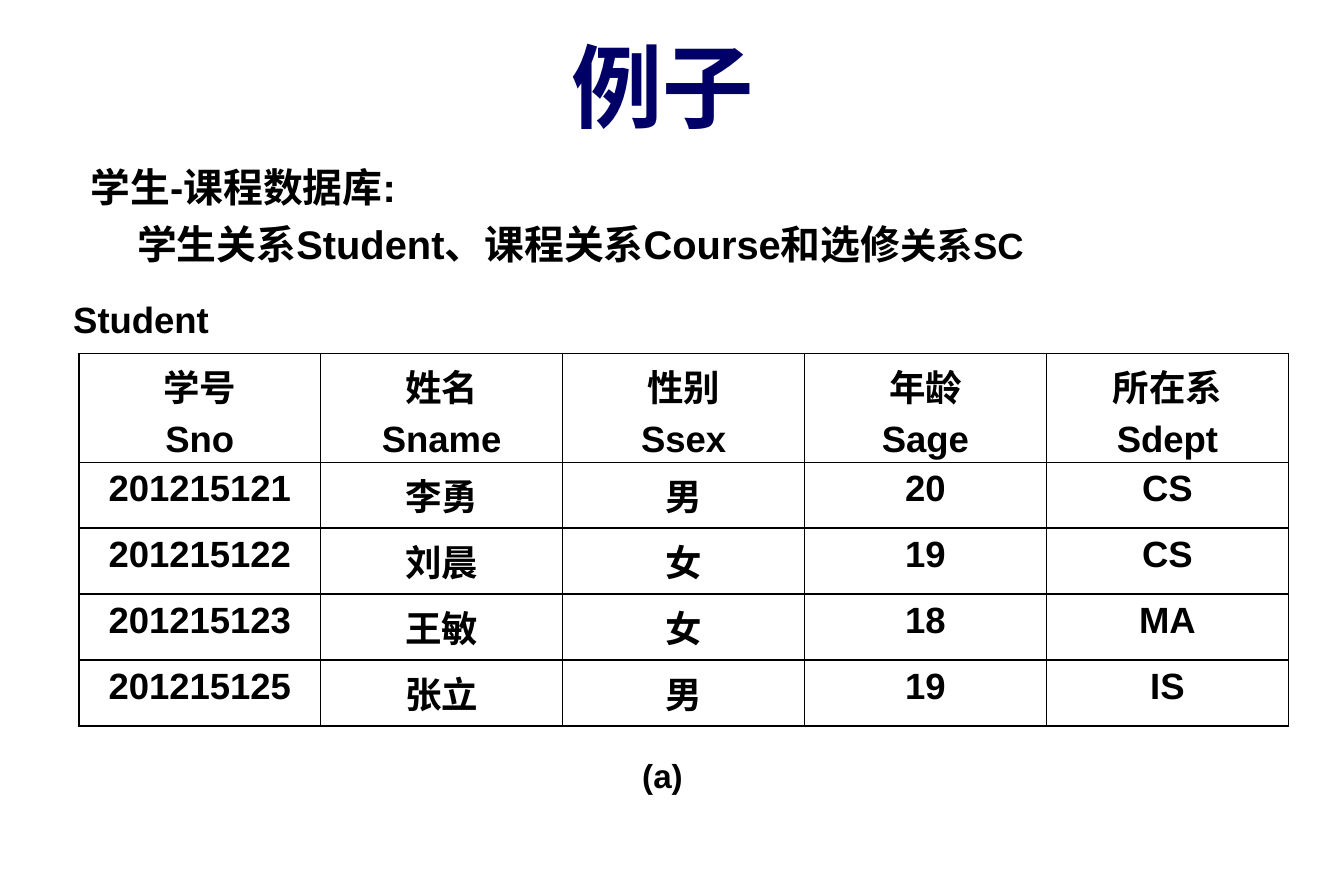
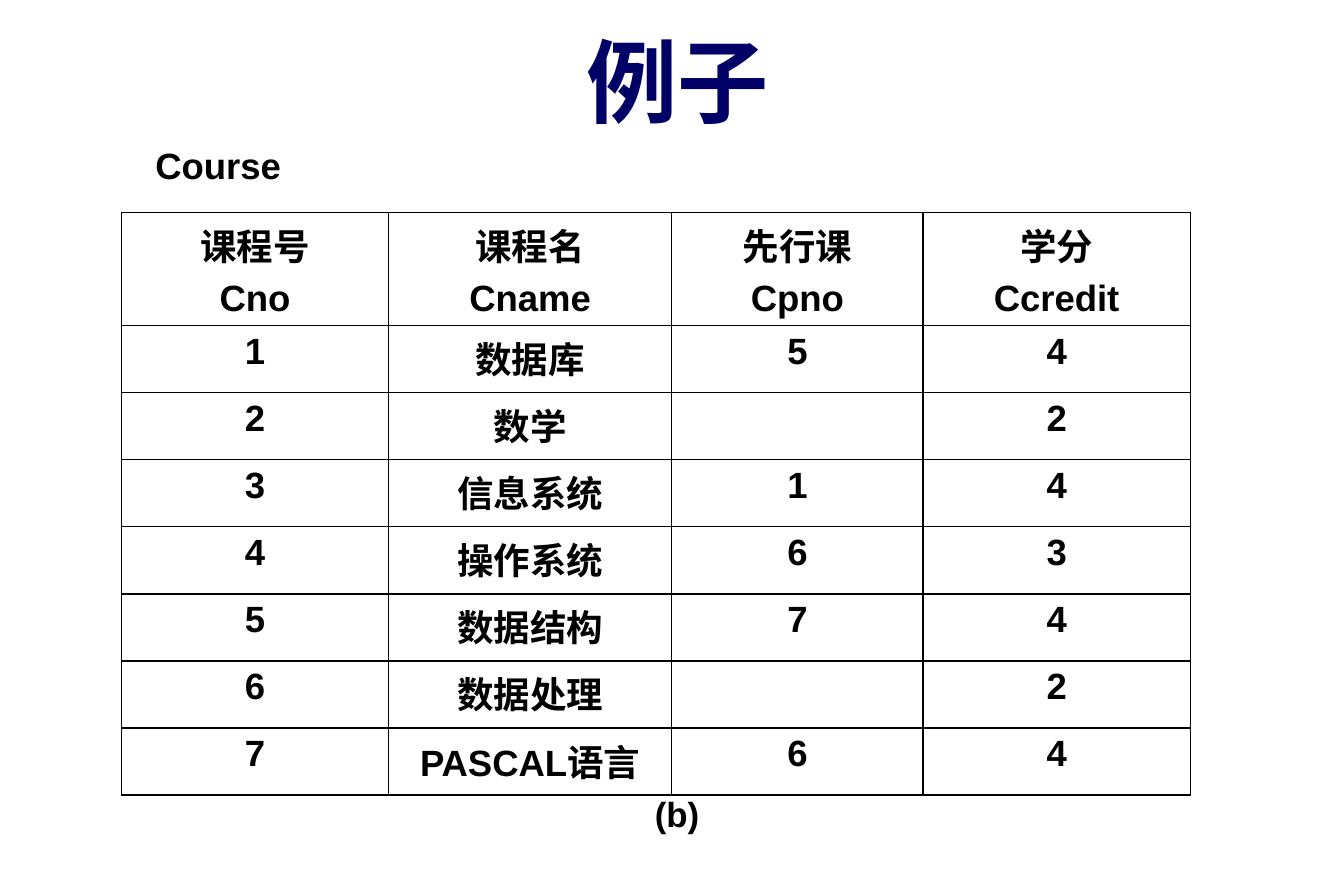
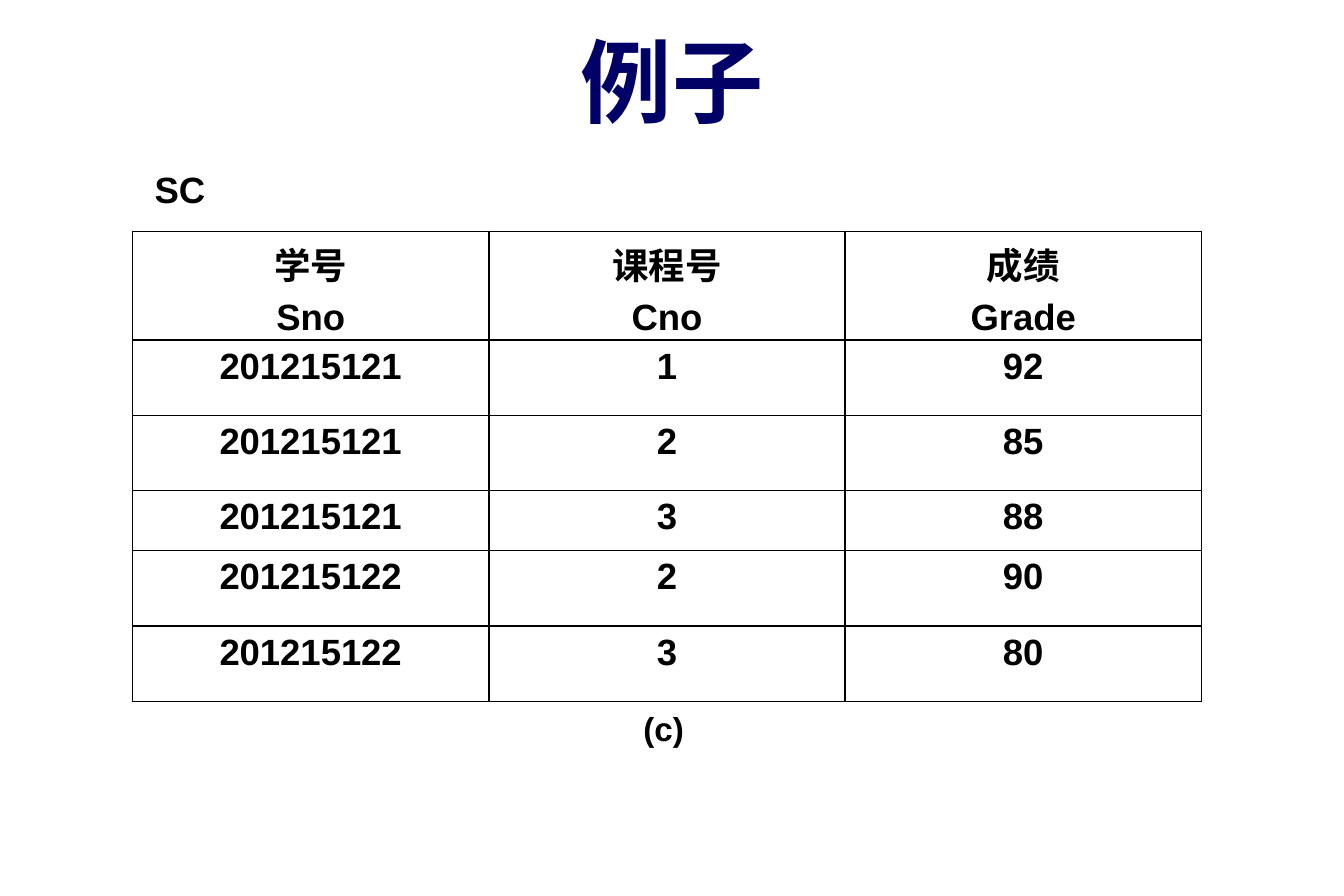
from lxml import etree
from pptx import Presentation
from pptx.dml.color import RGBColor
from pptx.enum.text import MSO_ANCHOR, MSO_AUTO_SIZE, PP_ALIGN
from pptx.oxml.ns import qn
from pptx.util import Pt

LEFT, CENTER = PP_ALIGN.LEFT, PP_ALIGN.CENTER
TOP, MIDDLE = MSO_ANCHOR.TOP, MSO_ANCHOR.MIDDLE
FIXED = MSO_AUTO_SIZE.NONE
BLACK, NAVY = "000000", "000066"
HEAD = 65.5


def style(para, size, align=CENTER, face="Arial", color=BLACK):
    para.alignment = align
    font = para.font
    font.name, font.size, font.bold = face, Pt(size), True
    font.color.rgb = RGBColor.from_string(color)


def label(slide, text, box, size, align=CENTER, anchor=TOP):
    frame = slide.shapes.add_textbox(*map(Pt, box)).text_frame
    frame.word_wrap = True
    frame.vertical_anchor = anchor
    frame.text = text
    for para in frame.paragraphs:
        style(para, size, align)
    return frame


pages = [
    {
        "title": (72, 28.8),
        "name": ("Student", (35, 167.8, 100, 48.2), MIDDLE),
        "note": ("(a)", (92.2, 451.4, 614.2, 31.7), 20),
        "spot": (47.5, 213.1),
        "cols": [145.8] * 5,
        "rows": [HEAD] + [39.75] * 4,
        "data": [
            ["学号\nSno", "姓名\nSname", "性别\nSsex", "年龄\nSage", "所在系\nSdept"],
            ["201215121", "李勇", "男", "20", "CS"],
            ["201215122", "刘晨", "女", "19", "CS"],
            ["201215123", "王敏", "女", "18", "MA"],
            ["201215125", "张立", "男", "19", "IS"],
        ],
    },
    {
        "title": (81.4, 25.9),
        "name": ("Course", (86.6, 82.8, 100, 33.8), TOP),
        "note": ("(b)", (378, 474.5, 60, 33.1), 21),
        "spot": (73.2, 127.9),
        "cols": [161, 170.6, 151.6, 161],
        "rows": [68.4] + [40.4] * 7,
        "data": [
            ["课程号\nCno", "课程名\nCname", "先行课\nCpno", "学分\nCcredit"],
            ["1", "数据库", "5", "4"],
            ["2", "数学", "", "2"],
            ["3", "信息系统", "1", "4"],
            ["4", "操作系统", "6", "3"],
            ["5", "数据结构", "7", "4"],
            ["6", "数据处理", "", "2"],
            ["7", "PASCAL语言", "6", "4"],
        ],
    },
    {
        "title": (77.8, 25.9),
        "name": ("SC", (60.5, 94.3, 95.8, 39.6), MIDDLE),
        "note": ("(c)", (362.9, 423.4, 74.2, 56.9), 20),
        "spot": (79.9, 139.5),
        "cols": [214.7] * 3,
        "rows": [HEAD, 45.4, 45.4, 36.2, 45.4, 45.4],
        "data": [
            ["学号\nSno", "课程号\nCno", "成绩\nGrade"],
            ["201215121", "1", "92"],
            ["201215121", "2", "85"],
            ["201215121", "3", "88"],
            ["201215122", "2", "90"],
            ["201215122", "3", "80"],
        ],
    },
]

deck = Presentation()
deck.slide_width, deck.slide_height = Pt(810), Pt(540)

for page in pages:
    slide = deck.slides.add_slide(deck.slide_layouts[5])
    title = slide.shapes.title
    title.left, title.top = map(Pt, page["title"])
    title.width, title.height = Pt(654.5), Pt(44.6)
    frame = title.text_frame
    frame.text = "例子"
    frame.auto_size = FIXED
    frame.vertical_anchor = MIDDLE
    frame.margin_left = frame.margin_right = Pt(13)
    frame.margin_top = frame.margin_bottom = Pt(6.5)
    style(frame.paragraphs[0], 55, face="Cabin", color=NAVY)

    text, box, anchor = page["name"]
    align = LEFT if anchor == TOP else CENTER
    label(slide, text, box, 22, align, anchor)
    label(slide, *page["note"])

    cols, rows = page["cols"], page["rows"]
    place = map(Pt, (*page["spot"], sum(cols), sum(rows)))
    table = slide.shapes.add_table(len(rows), len(cols), *place).table
    table.first_row = table.horz_banding = False
    for col, width in zip(table.columns, cols):
        col.width = Pt(width)
    for row, height, line in zip(table.rows, rows, page["data"]):
        row.height = Pt(height)
        for cell, text in zip(row.cells, line):
            cell.text = text
            cell.margin_left = cell.margin_right = Pt(7.9)
            cell.margin_top = cell.margin_bottom = Pt(3.6)
            for para in cell.text_frame.paragraphs:
                style(para, 22)
                para.space_before = Pt(4.4)
            props = cell._tc.get_or_add_tcPr()
            for side in ("lnL", "lnR", "lnT", "lnB"):
                edge = etree.SubElement(props, qn("a:" + side), w=str(Pt(1)))
                fill = etree.SubElement(edge, qn("a:solidFill"))
                etree.SubElement(fill, qn("a:srgbClr"), val=BLACK)
            cell.fill.background()

intro = label(
    deck.slides[0],
    "学生-课程数据库:\n学生关系Student、课程关系Course和选修",
    (47.5, 88.6, 663.1, 77),
    24,
    LEFT,
)
for para in intro.paragraphs:
    para.line_spacing = 1.2
last = intro.paragraphs[1]
last._p.get_or_add_pPr().set("marL", str(Pt(28)))
tail = last.add_run()
tail.text = "关系SC"
tail.font.size = Pt(22)

deck.save("out.pptx")
